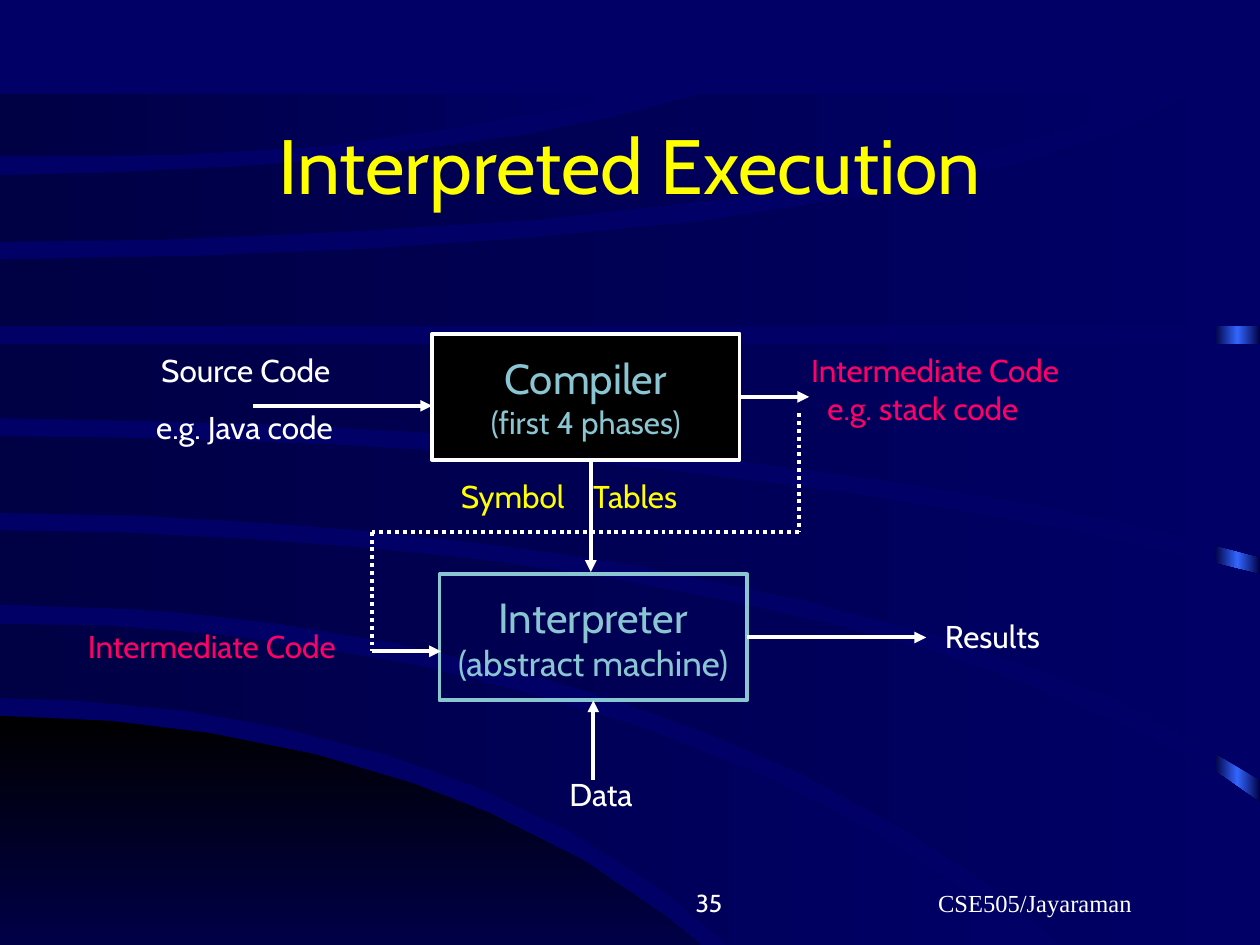
from dataclasses import dataclass
from lxml import etree
from pptx import Presentation
from pptx.dml.color import RGBColor
from pptx.enum.dml import MSO_LINE_DASH_STYLE as Dash
from pptx.enum.shapes import MSO_CONNECTOR as Connector, MSO_SHAPE as Shape
from pptx.enum.text import MSO_ANCHOR as Anchor, PP_ALIGN as Align
from pptx.oxml.ns import qn
from pptx.util import Cm, Pt


@dataclass(frozen=True)
class Theme:
    font: str = "Cabin"
    footer_font: str = "Times New Roman"
    background: str = "000066"
    shade: str = "000044"
    glow: str = "3366FF"
    black: str = "000000"
    hill_end: str = "000047"
    white: str = "FFFFFF"
    yellow: str = "FFFF00"
    pink: str = "FF0066"
    aqua: str = "8AC6D2"
    title_size: float = 44
    box_size: float = 24
    machine_size: float = 20
    label_size: float = 18
    footer_size: float = 14
    line_width: float = 2.25


THEME = Theme()
WIDTH, HEIGHT = 25.4, 19.05

TITLE = ("Interpreted Execution", (1.9, 1.7, 21.6, 3.18))

HILL = [(0, 14.43), (2.21, 14.53), (4.22, 14.78), (6.35, 15.21), (8.33, 15.8), (9.83, 16.38),
        (11.76, 17.35), (13.44, 18.49), (14.12, HEIGHT), (0, HEIGHT)]

BANDS = [
    [(0, 12.57), (2.24, 12.62), (4.24, 12.78), (6.35, 13.06), (8.53, 13.44), (10.9, 14.05),
     (13.11, 14.73), (15.42, 15.67), (17.5, 16.71), (19.48, 17.96), (20.83, HEIGHT),
     (14.68, HEIGHT), (13.31, 17.91), (11.56, 16.79), (9.58, 15.85), (7.8, 15.21),
     (5.64, 14.66), (3.78, 14.33), (1.52, 14.12), (0, 14.07)],
    [(0, 10.69), (2.49, 10.74), (4.98, 10.87), (7.37, 11.05), (9.78, 11.3), (12.09, 11.63),
     (14.5, 12.09), (16.69, 12.57), (18.77, 13.13), (20.8, 13.84), (22.99, 14.76),
     (24.64, 15.65), (WIDTH, 16.18), (WIDTH, HEIGHT), (21.39, HEIGHT), (19.84, 17.75),
     (18.31, 16.76), (16.18, 15.6), (14.27, 14.78), (12.27, 14.05), (10.31, 13.49),
     (7.92, 12.95), (5.64, 12.57), (3.58, 12.34), (2.49, 12.27), (0, 12.19)],
    [(0, 8.79), (3.18, 8.84), (6.76, 8.97), (10.19, 9.17), (13.31, 9.47), (16.84, 9.91),
     (19.53, 10.34), (21.84, 10.74), (24.26, 11.3), (WIDTH, 11.58), (WIDTH, 15.72),
     (24.18, 14.99), (22.4, 14.07), (20.78, 13.44), (18.9, 12.8), (16.31, 12.12),
     (13.06, 11.43), (10.34, 11.02), (7.72, 10.72), (5.38, 10.54), (2.79, 10.39), (0, 10.34)],
    [(0, 6.93), (WIDTH, 6.93), (WIDTH, 11.23), (23.27, 10.67), (20.68, 10.13), (17.86, 9.68),
     (14.05, 9.17), (9.91, 8.79), (5.82, 8.56), (2.64, 8.48), (0, 8.43)],
    [(0, 5.23), (4.01, 5.16), (7.29, 5.03), (10.69, 4.8), (14.1, 4.47), (17.4, 3.96),
     (20.42, 3.33), (22.68, 2.62), (23.98, 1.9), (WIDTH, 1.9), (WIDTH, 6.58), (0, 6.58)],
    [(0, 3.53), (2.24, 3.48), (5.03, 3.35), (7.85, 3.1), (10.59, 2.72), (12.27, 2.39),
     (14.15, 1.9), (23.32, 1.9), (21.72, 2.57), (19.63, 3.12), (17.37, 3.61), (14.68, 3.99),
     (10.82, 4.42), (6.88, 4.67), (3.23, 4.83), (0, 4.88)],
    [(0, 1.9), (12.75, 1.9), (11.51, 2.16), (8.81, 2.62), (6.45, 2.95), (3.51, 3.12), (0, 3.15)],
]

BOXES = {
    "compiler": ((8.71, 6.73), THEME.black, THEME.white,
                 [("Compiler", THEME.box_size), ("(first 4 phases)", THEME.label_size)]),
    "interpreter": ((8.86, 11.58), None, THEME.aqua,
                    [("Interpreter", THEME.box_size), ("(abstract machine)", THEME.machine_size)]),
}
BOX_SIZE = (6.2, 2.54)

LABELS = [
    ("Source Code", (3, 6.96), 4.24, THEME.white),
    ("e.g. Java code", (2.9, 8.1), 4.57, THEME.white),
    ("Intermediate Code", (16.1, 6.96), 5.74, THEME.pink),
    ("e.g. stack code", (16.43, 7.72), 4.9, THEME.pink),
    ("Symbol\tTables", (9.04, 9.5), 5.28, THEME.yellow),
    ("Intermediate Code", (1.52, 12.52), 6.1, THEME.pink),
    ("Results", (18.8, 12.32), 2.64, THEME.white),
    ("Data", (11.23, 15.49), 1.9, THEME.white),
]
LABEL_HEIGHT = 1.02
TAB_STOP = 2.67

ARROWS = [
    ((5.11, 8.18), (8.71, 8.18), None, None),
    ((14.91, 8), (16.31, 8), ("compiler", 3), None),
    ((11.91, 9.32), (11.91, 11.53), None, None),
    ((7.49, 13.13), (8.89, 13.13), None, None),
    ((15.06, 12.85), (18.67, 12.85), ("interpreter", 3), None),
    ((11.96, 15.72), (11.96, 14.12), None, ("interpreter", 2)),
]
DOTTED_ROUTE = [(16.1, 8.33), (16.1, 10.72), (7.49, 10.72), (7.49, 13.13)]

FOOTERS = [
    ("CSE505/Jayaraman", (16.84, 17.35, 8.05, 1.27), Align.CENTER, THEME.footer_font),
    ("35", (9.53, 17.35, 5.28, 1.27), Align.RIGHT, THEME.font),
]


def cm(values):
    return [Cm(value) for value in values]


def color(code):
    return RGBColor.from_string(code)


def paint_gradient(shape, codes, angle=0):
    shape.shadow.inherit = False
    shape.line.fill.background()
    shape.fill.gradient()
    gradient = shape._element.spPr.find(qn("a:gradFill"))
    for child in list(gradient):
        gradient.remove(child)
    stops = etree.SubElement(gradient, qn("a:gsLst"))
    for index, code in enumerate(codes):
        stop = etree.SubElement(stops, qn("a:gs"), pos=str(index * 100000 // (len(codes) - 1)))
        etree.SubElement(stop, qn("a:srgbClr"), val=code)
    etree.SubElement(gradient, qn("a:lin"), ang=str(angle * 60000), scaled="0")


def add_outline(slide, points, codes, angle=0):
    first, *rest = [cm(point) for point in points]
    builder = slide.shapes.build_freeform(*first)
    builder.add_line_segments(rest, close=True)
    paint_gradient(builder.convert_to_shape(), codes, angle)


def write(frame, lines, code, align=Align.LEFT, anchor=Anchor.TOP, font=THEME.font):
    frame.word_wrap = True
    frame.vertical_anchor = anchor
    for index, (text, size) in enumerate(lines):
        para = frame.add_paragraph() if index else frame.paragraphs[0]
        para.add_run().text = text
        para.alignment = align
        if "\t" in text:
            tabs = etree.SubElement(para._p.get_or_add_pPr(), qn("a:tabLst"))
            etree.SubElement(tabs, qn("a:tab"), pos=str(Cm(TAB_STOP)), algn="l")
        para.font.name = font
        para.font.size = Pt(size)
        para.font.color.rgb = color(code)


def add_box(slide, place, fill, outline, lines):
    box = slide.shapes.add_shape(Shape.RECTANGLE, *cm(place + BOX_SIZE))
    box.shadow.inherit = False
    if fill:
        box.fill.solid()
        box.fill.fore_color.rgb = color(fill)
    else:
        box.fill.background()
    box.line.color.rgb = color(outline)
    box.line.width = Pt(THEME.line_width)
    write(box.text_frame, lines, THEME.aqua, Align.CENTER, Anchor.MIDDLE)
    return box


def add_line(slide, start, end, dotted=False):
    line = slide.shapes.add_connector(Connector.STRAIGHT, *cm(start + end))
    line.line.color.rgb = color(THEME.white)
    line.line.width = Pt(THEME.line_width)
    if dotted:
        line.line.dash_style = Dash.ROUND_DOT
    else:
        etree.SubElement(line.line._get_or_add_ln(), qn("a:tailEnd"), type="triangle")
    etree.SubElement(line._element.spPr, qn("a:effectLst"))
    return line


def main():
    deck = Presentation()
    deck.slide_width, deck.slide_height = cm((WIDTH, HEIGHT))
    slide = deck.slides.add_slide(deck.slide_layouts[5])
    slide.background.fill.solid()
    slide.background.fill.fore_color.rgb = color(THEME.background)

    strip = slide.shapes.add_shape(Shape.RECTANGLE, *cm((24.49, 1.96, 0.91, 17.09)))
    paint_gradient(strip, [THEME.shade, THEME.glow, THEME.shade])
    add_outline(slide, HILL, [THEME.black, THEME.hill_end], 90)
    for points in BANDS:
        add_outline(slide, points, [THEME.shade, THEME.background])

    title = slide.shapes.title
    slide.shapes._spTree.append(title._element)
    text, place = TITLE
    title.left, title.top, title.width, title.height = cm(place)
    write(title.text_frame, [(text, THEME.title_size)], THEME.yellow, Align.CENTER, Anchor.MIDDLE)

    boxes = {name: add_box(slide, *details) for name, details in BOXES.items()}
    for text, place, width, code in LABELS:
        label = slide.shapes.add_textbox(*cm(place + (width, LABEL_HEIGHT)))
        write(label.text_frame, [(text, THEME.label_size)], code)
    for start, end, source, target in ARROWS:
        arrow = add_line(slide, start, end)
        if source:
            arrow.begin_connect(boxes[source[0]], source[1])
        if target:
            arrow.end_connect(boxes[target[0]], target[1])
    for start, end in zip(DOTTED_ROUTE, DOTTED_ROUTE[1:]):
        add_line(slide, start, end, dotted=True)
    for text, place, align, font in FOOTERS:
        footer = slide.shapes.add_textbox(*cm(place))
        write(footer.text_frame, [(text, THEME.footer_size)], THEME.white, align, Anchor.BOTTOM, font)

    deck.save("out.pptx")


if __name__ == "__main__":
    main()
